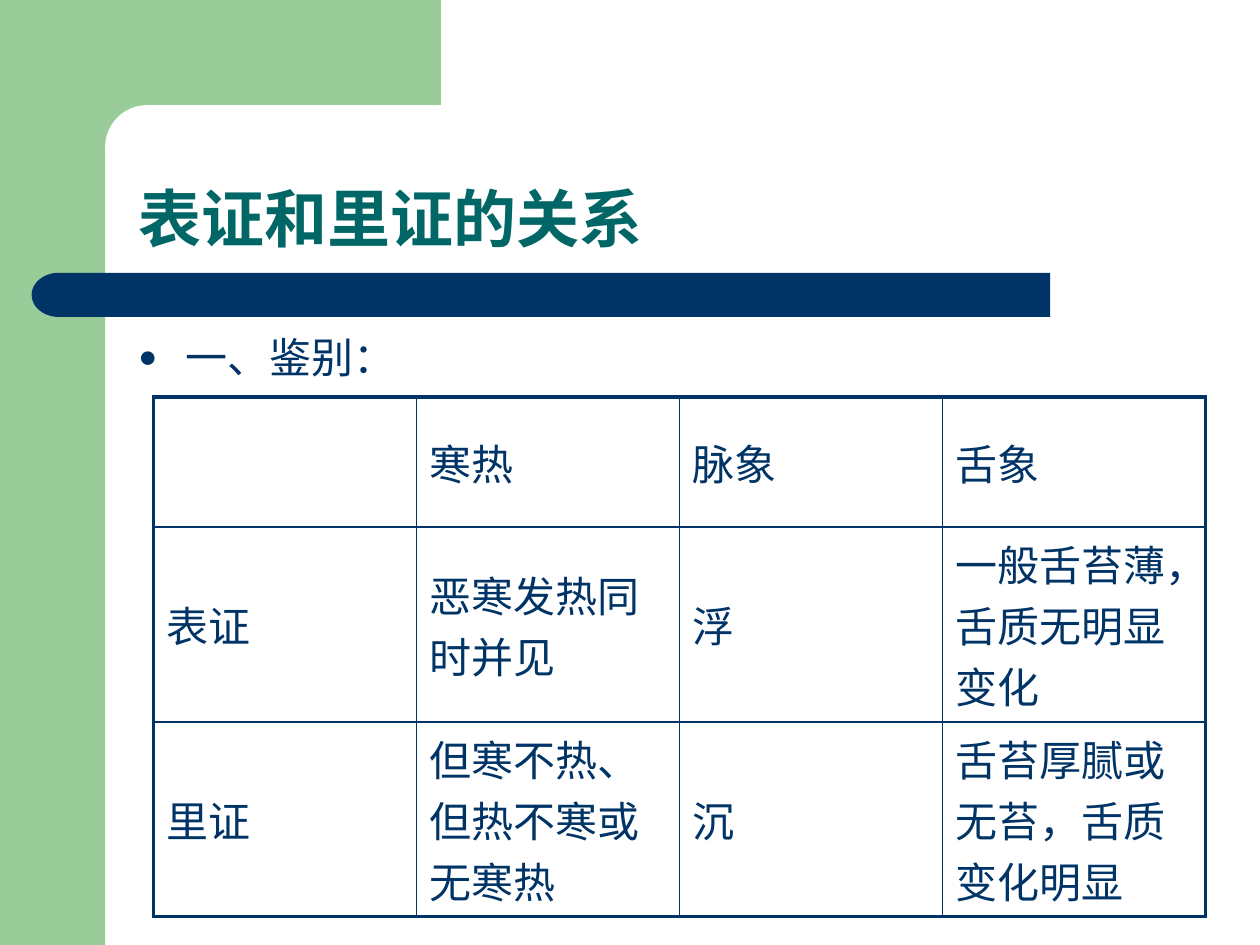
from lxml import etree
from pptx import Presentation
from pptx.dml.color import RGBColor
from pptx.enum.shapes import MSO_SHAPE
from pptx.enum.text import MSO_ANCHOR, MSO_AUTO_SIZE, PP_ALIGN
from pptx.oxml.ns import qn
from pptx.util import Cm, Pt

COLORS = {"green": "99CC99", "navy": "003366", "teal": "006666", "white": "FFFFFF"}
FONT = "Arial"
OUTER, INNER = 2.25, 1
COLUMN_WIDTH = 5.3
ROW_HEIGHTS = (2.62, 3.93, 3.93)
ROWS = (
    ("", "寒热", "脉象", "舌象"),
    ("表证", "恶寒发热同时并见", "浮", "一般舌苔薄，舌质无明显变化"),
    ("里证", "但寒不热、但热不寒或无寒热", "沉", "舌苔厚腻或无苔，舌质变化明显"),
)


def rgb(name):
    """Return a palette colour."""
    return RGBColor.from_string(COLORS[name])


def add_block(slide, kind, box, color, corner=None, flip=False):
    """Add a plain filled shape, optionally rounded or mirrored."""
    shape = slide.shapes.add_shape(kind, *map(Cm, box))
    shape.shadow.inherit = False
    shape.fill.solid()
    shape.fill.fore_color.rgb = rgb(color)
    shape.line.fill.background()
    if corner is not None:
        shape.adjustments[0] = corner
    if flip:
        shape._element.spPr.find(qn("a:xfrm")).set("flipH", "1")


def write(frame, text, size, color, bold=False):
    """Write one left-aligned paragraph and return it."""
    paragraph = frame.paragraphs[0]
    paragraph.alignment = PP_ALIGN.LEFT
    run = paragraph.add_run()
    run.text = text
    run.font.name, run.font.size, run.font.bold = FONT, Pt(size), bold
    run.font.color.rgb = rgb(color)
    return paragraph


def add_title(slide, text):
    """Place and format the title placeholder."""
    title = slide.shapes.title
    title.left, title.top, title.width, title.height = map(Cm, (2.54, 2.12, 22.22, 3.18))
    frame = title.text_frame
    frame.word_wrap = True
    frame.auto_size = MSO_AUTO_SIZE.NONE
    frame.vertical_anchor = MSO_ANCHOR.BOTTOM
    write(frame, text, 36, "teal", bold=True).line_spacing = 0.9


def add_bullet(slide, text):
    """Add the bulleted line above the table."""
    frame = slide.shapes.add_textbox(*map(Cm, (2.54, 6.56, 10.9, 10.37))).text_frame
    frame.word_wrap = True
    properties = write(frame, text, 24, "navy")._p.get_or_add_pPr()
    properties.set("marL", str(Cm(0.95)))
    properties.set("indent", str(-Cm(0.95)))
    color = etree.SubElement(properties, qn("a:buClr"))
    etree.SubElement(color, qn("a:srgbClr"), val=COLORS["navy"])
    etree.SubElement(properties, qn("a:buSzPct"), val="75000")
    etree.SubElement(properties, qn("a:buFont"), typeface=FONT)
    etree.SubElement(properties, qn("a:buChar"), char="●")


def set_borders(cell, widths):
    """Draw the left, right, top and bottom borders of a cell."""
    properties = cell._tc.get_or_add_tcPr()
    for index, (side, width) in enumerate(zip("LRTB", widths)):
        line = etree.Element(qn(f"a:ln{side}"), w=str(Pt(width)))
        fill = etree.SubElement(line, qn("a:solidFill"))
        etree.SubElement(fill, qn("a:srgbClr"), val=COLORS["navy"])
        properties.insert(index, line)


def add_comparison_table(slide):
    """Add the table, with a heavier outer frame."""
    last_row, last_column = len(ROWS) - 1, len(ROWS[0]) - 1
    size = (COLUMN_WIDTH * len(ROWS[0]), sum(ROW_HEIGHTS))
    table = slide.shapes.add_table(
        len(ROWS), len(ROWS[0]), Cm(3.1), Cm(8), *map(Cm, size)).table
    table.first_row = table.horz_banding = False
    for column in table.columns:
        column.width = Cm(COLUMN_WIDTH)
    for r, (texts, height) in enumerate(zip(ROWS, ROW_HEIGHTS)):
        table.rows[r].height = Cm(height)
        for c, text in enumerate(texts):
            cell = table.cell(r, c)
            cell.fill.background()
            cell.vertical_anchor = MSO_ANCHOR.MIDDLE
            if text:
                write(cell.text_frame, text, 24, "navy")
            edges = (c == 0, c == last_column, r == 0, r == last_row)
            set_borders(cell, [OUTER if edge else INNER for edge in edges])


def add_decoration(slide):
    """Add the green corner and the navy bar."""
    add_block(slide, MSO_SHAPE.RECTANGLE, (0, 0, 2.12, 19.05), "green")
    add_block(slide, MSO_SHAPE.RECTANGLE, (1.9, 0, 6.99, 2.96), "green")
    add_block(slide, MSO_SHAPE.ROUNDED_RECTANGLE, (2.12, 2.12, 14.17, 1.69), "white", 0.5)
    add_block(slide, MSO_SHAPE.ROUNDED_RECTANGLE, (1.69, 5.5, 19.48, 0.89), "navy", 0)
    add_block(slide, MSO_SHAPE.FLOWCHART_DELAY, (0.64, 5.5, 1.09, 0.89), "navy", flip=True)


def main():
    """Build and save the slide."""
    deck = Presentation()
    deck.slide_width, deck.slide_height = Cm(25.4), Cm(19.05)
    slide = deck.slides.add_slide(deck.slide_layouts[5])
    add_decoration(slide)
    title = slide.shapes.title._element
    title.getparent().append(title)
    add_title(slide, "表证和里证的关系")
    add_bullet(slide, "一、鉴别：")
    add_comparison_table(slide)
    deck.save("out.pptx")


main()
